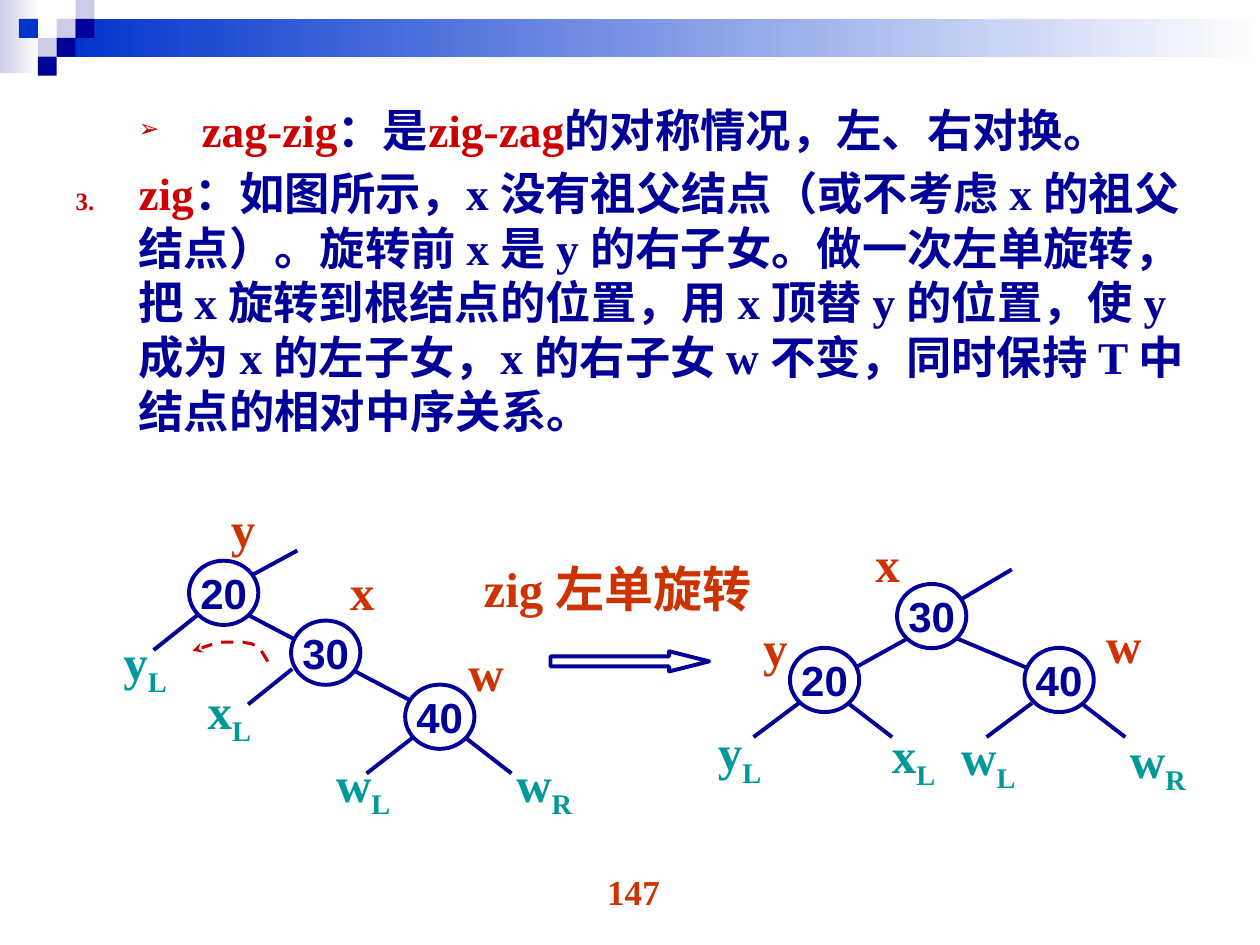
"""Build the slide that explains the zig rotation of a splay tree."""
from lxml import etree
from pptx import Presentation
from pptx import util as u
from pptx.dml import color as dml
from pptx.enum import dml as lines, shapes, text
from pptx.oxml import ns

COLORS = {"navy": "000099", "blue": "0033CC", "lavender": "CCCCE6", "white": "FFFFFF",
          "red": "CC0000", "orange": "CC3300", "teal": "009999"}
SERIF = "Times New Roman"


def rgb(name):
    return dml.RGBColor.from_string(COLORS[name])


def add_run(paragraph, content, size, color, font=SERIF):
    run = paragraph.add_run()
    run.text = content
    run.font.size, run.font.name, run.font.bold = u.Pt(size), font, True
    run.font.color.rgb = rgb(color)
    return run


presentation = Presentation()
presentation.slide_width, presentation.slide_height = u.Pt(720), u.Pt(540)
slide = presentation.slides.add_slide(presentation.slide_layouts[1])
title = slide.shapes.title
title._element.getparent().remove(title._element)

for left, top, width, height, color in [(0, 0, 22, 41.8, "lavender"), (32.4, 10.8, 687.6, 21.6, "blue")]:
    band = slide.shapes.add_shape(shapes.MSO_SHAPE.RECTANGLE, u.Pt(left), u.Pt(top), u.Pt(width), u.Pt(height))
    band.shadow.inherit = False
    band.line.fill.background()
    band.fill.gradient()
    band.fill.gradient_angle = 0
    for stop, name in zip(band.fill.gradient_stops, (color, "white")):
        stop.color.rgb = rgb(name)

UNIT = 10.8
for column, row, color in [(3, 1, "lavender"), (4, 0, "lavender"), (4, 1, "navy"), (2, 2, "lavender"),
                           (1, 1, "blue"), (3, 2, "navy"), (2, 3, "navy")]:
    square = slide.shapes.add_shape(shapes.MSO_SHAPE.RECTANGLE, u.Pt(column * UNIT), u.Pt(row * UNIT),
                                    u.Pt(UNIT), u.Pt(UNIT))
    square.shadow.inherit = False
    square.line.fill.background()
    square.fill.solid()
    square.fill.fore_color.rgb = rgb(color)

body = slide.placeholders[1]
body.left, body.top, body.width, body.height = u.Pt(36), u.Pt(54.7), u.Pt(648), u.Pt(235.4)
body.text_frame.auto_size = text.MSO_AUTO_SIZE.NONE
items = [
    (1, 72, 0, "buChar", {"char": "➢"},
     [("zag-zig", "red"), ("：是", "navy"), ("zig-zag", "red"), ("的对称情况，左、右对换。", "navy")]),
    (0, 36, 5.2, "buAutoNum", {"type": "arabicPeriod", "startAt": "3"},
     [("zig", "red"),
      ("：如图所示，x 没有祖父结点（或不考虑 x 的祖父结点）。旋转前 x 是 y 的右子女。"
       "做一次左单旋转，把 x 旋转到根结点的位置，用 x 顶替 y 的位置，使 y 成为 x 的左子女，"
       "x 的右子女 w 不变，同时保持 T 中结点的相对中序关系。", "navy")]),
]
for index, (level, margin, before, bullet, attributes, parts) in enumerate(items):
    paragraph = body.text_frame.add_paragraph() if index else body.text_frame.paragraphs[0]
    paragraph.level = level
    properties = paragraph._p.get_or_add_pPr()
    properties.set("marL", str(u.Pt(margin)))
    properties.set("indent", str(u.Pt(-36)))
    properties.set("hangingPunct", "0")
    bullet_color = etree.SubElement(properties, ns.qn("a:buClr"))
    etree.SubElement(bullet_color, ns.qn("a:srgbClr"), val=COLORS["red"])
    etree.SubElement(properties, ns.qn("a:buSzPct"), val="55000")
    etree.SubElement(properties, ns.qn(f"a:{bullet}"), attributes)
    paragraph.line_spacing = 1.0
    paragraph.space_before = u.Pt(before)
    for content, color in parts:
        add_run(paragraph, content, 25.9, color)

edges = [
    (141.8, 351.4, 260.6, 414), (113, 351.4, 87.8, 371.5), (167, 382.3, 141.8, 402.5),
    (235.4, 421.9, 209.5, 442), (266.4, 421.9, 292.3, 442), (169.9, 314.6, 144.7, 328.3),
    (518.4, 365, 473, 390.2), (547.2, 365, 586.8, 381.6), (617.8, 401.8, 643, 421.2),
    (484.6, 401.8, 509.8, 421.2), (456.5, 401.8, 430.6, 421.2), (578.2, 325.4, 550, 342),
    (589.7, 401.8, 563.8, 421.2),
]
for edge in edges:
    connector = slide.shapes.add_connector(shapes.MSO_CONNECTOR.STRAIGHT, *map(u.Pt, edge))
    connector.line.color.rgb = rgb("navy")
    connector.line.width = u.Pt(2.25)
    etree.SubElement(connector._element.spPr, ns.qn("a:effectLst"))

nodes = [("20", 108, 320.4), ("30", 166.3, 354.6), ("40", 231.5, 391.2),
         ("30", 512.6, 333.7), ("20", 451.4, 370.2), ("40", 585.4, 370.2)]
for key, left, top in nodes:
    node = slide.shapes.add_shape(shapes.MSO_SHAPE.OVAL, u.Pt(left), u.Pt(top), u.Pt(39.6), u.Pt(36.7))
    node.shadow.inherit = False
    node.fill.solid()
    node.fill.fore_color.rgb = rgb("white")
    node.line.color.rgb = rgb("navy")
    node.line.width = u.Pt(2.25)
    frame = node.text_frame
    frame.margin_left = frame.margin_right = frame.margin_top = frame.margin_bottom = 0
    frame.word_wrap = False
    frame.vertical_anchor = text.MSO_ANCHOR.MIDDLE
    frame.paragraphs[0].alignment = text.PP_ALIGN.CENTER
    add_run(frame.paragraphs[0], key, 24, "navy", "Arial")

labels = [
    ("y", "", 124.9, 281.5, 28), ("x", "", 193, 317.5, 28), ("w", "", 260.6, 363.6, 35),
    ("zig 左单旋转", "", 269.3, 315.4, 174), ("x", "", 493.2, 301.6, 28),
    ("w", "", 625, 347.8, 41), ("y", "", 429, 349.2, 28),
    ("y", "L", 63.4, 357.1, 42), ("x", "L", 111.6, 385.2, 42),
    ("w", "L", 185, 427, 50), ("w", "R", 288, 427, 54),
    ("y", "L", 403.2, 409, 42), ("x", "L", 502.6, 410.4, 42),
    ("w", "L", 542.2, 411.8, 50), ("w", "R", 638.6, 413.3, 54),
]
for name, subscript, left, top, width in labels:
    label = slide.shapes.add_textbox(u.Pt(left), u.Pt(top), u.Pt(width), u.Pt(45 if subscript else 41))
    label.text_frame.word_wrap = False
    paragraph = label.text_frame.paragraphs[0]
    color = "teal" if subscript else "orange"
    add_run(paragraph, name, 28, color)
    if subscript:
        run = add_run(paragraph, subscript, 28, color)
        run._r.get_or_add_rPr().set("baseline", "-25000")

arrow = slide.shapes.add_shape(shapes.MSO_SHAPE.RIGHT_ARROW, u.Pt(314.6), u.Pt(372.2), u.Pt(90.7), u.Pt(11.5))
arrow.adjustments[0], arrow.adjustments[1] = 0.5, 1.99
arrow.shadow.inherit = False
arrow.fill.solid()
arrow.fill.fore_color.rgb = rgb("white")
arrow.line.color.rgb = rgb("navy")
arrow.line.width = u.Pt(2.25)

points = [(153.2, 378), (150.5, 373.3), (147.6, 369.6), (143.6, 367.8), (139, 367), (133, 366.6),
          (127.4, 367), (121.5, 368), (115.9, 369.5), (112.5, 371), (110.2, 372.4)]
builder = slide.shapes.build_freeform(*points[0], scale=u.Pt(1))
builder.add_line_segments(points[1:], close=False)
rotation = builder.convert_to_shape()
rotation.shadow.inherit = False
rotation.fill.background()
rotation.line.color.rgb = rgb("red")
rotation.line.width = u.Pt(1.75)
rotation.line.dash_style = lines.MSO_LINE.DASH
etree.SubElement(rotation.line._get_or_add_ln(), ns.qn("a:tailEnd"), type="stealth")

page = slide.shapes.add_textbox(u.Pt(278), u.Pt(494), u.Pt(168), u.Pt(37.5))
page.text_frame.word_wrap = True
page.text_frame.paragraphs[0].alignment = text.PP_ALIGN.CENTER
add_run(page.text_frame.paragraphs[0], "147", 20, "orange")

presentation.save("out.pptx")
